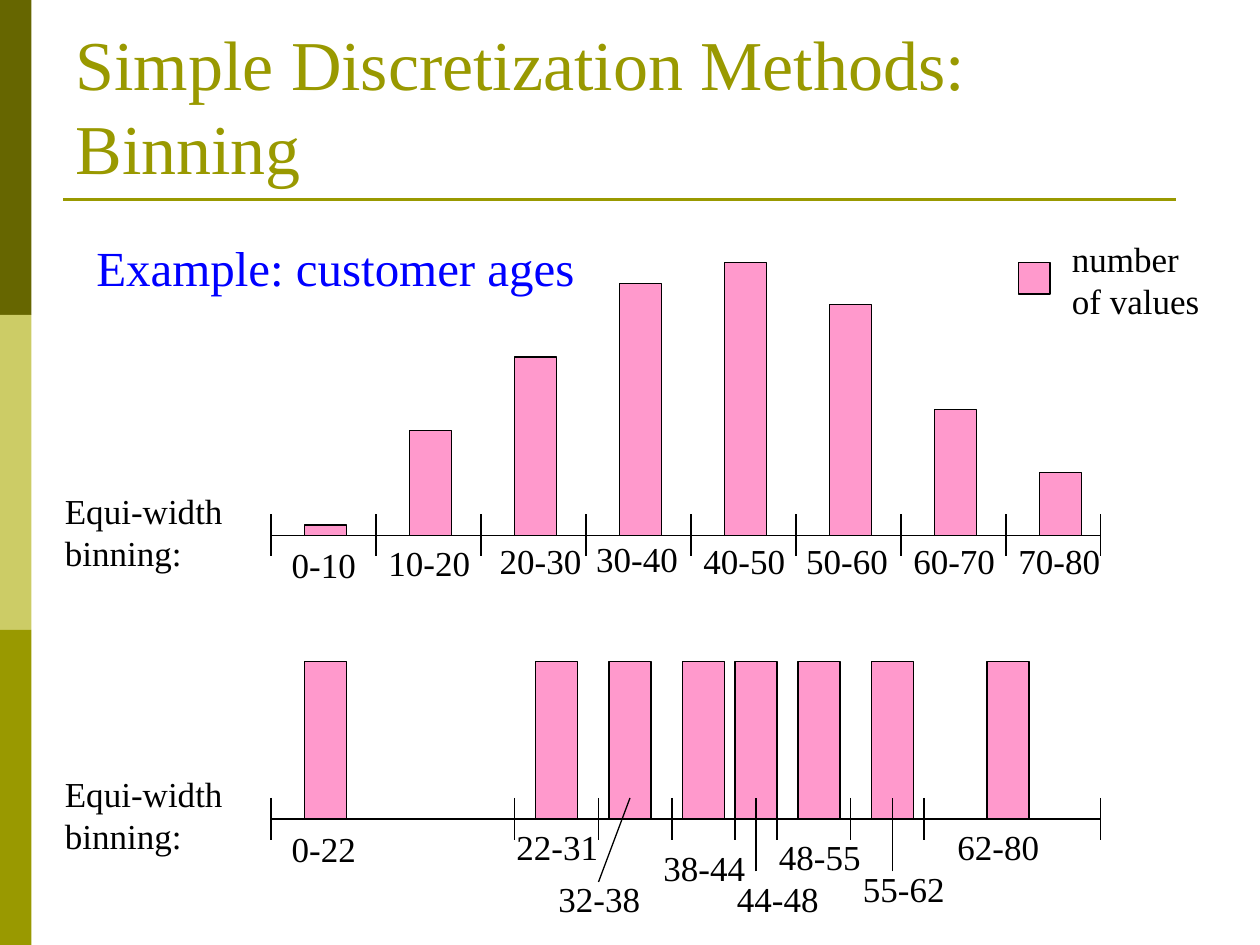
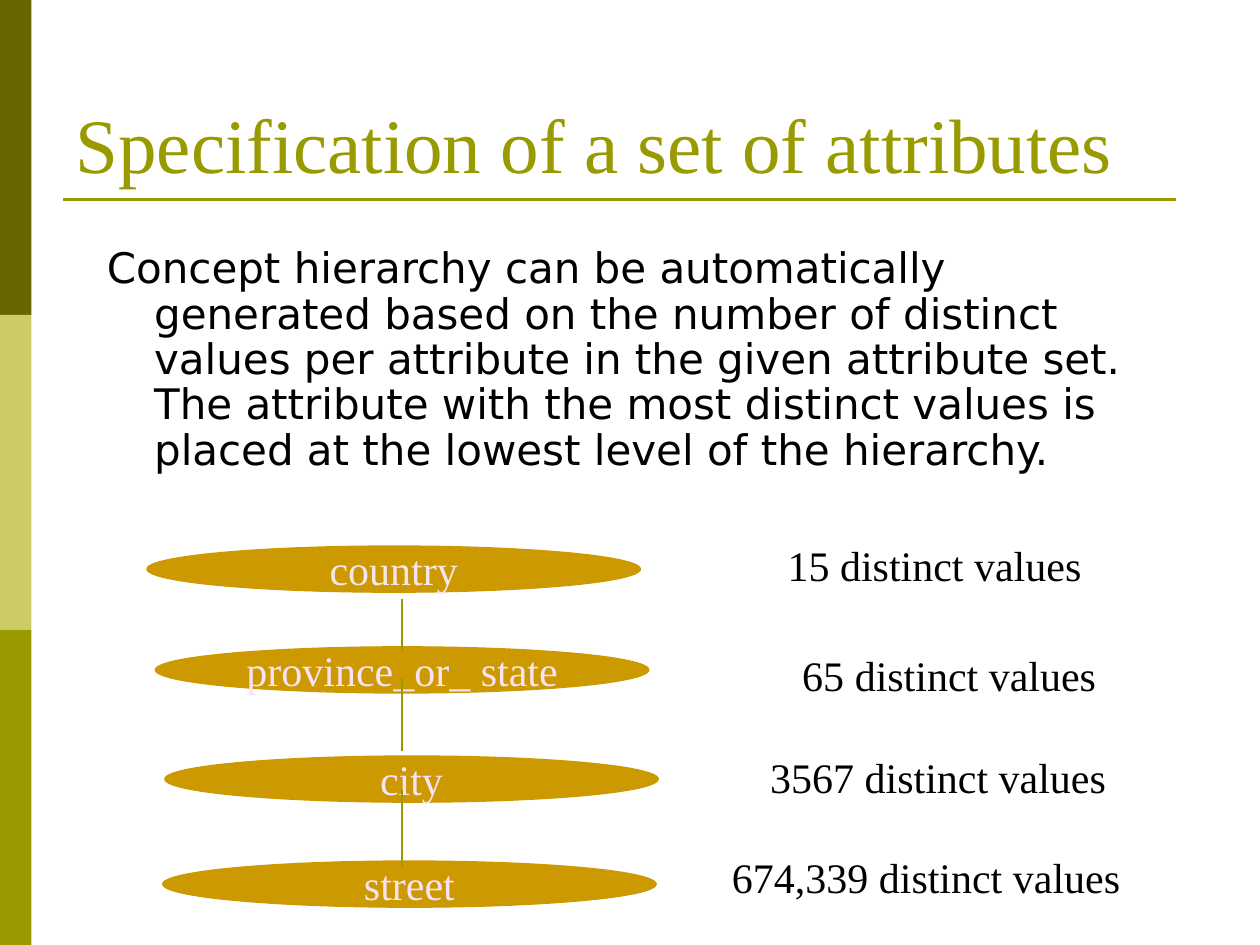
from lxml.etree import SubElement
from pptx import Presentation
from pptx.dml.color import RGBColor as Rgb
from pptx.enum.shapes import MSO_CONNECTOR as Conn, MSO_SHAPE as Kind
from pptx.enum.text import MSO_ANCHOR as Anchor, MSO_AUTO_SIZE as Fit, PP_ALIGN as Align
from pptx.oxml.ns import qn
from pptx.util import Emu, Pt

SCALE = 7620
WIDE, HIGH = 1200, 900
SERIF, SANS = "Times New Roman", "DejaVu Sans"
BLACK = Rgb(0x00, 0x00, 0x00)
BLUE = Rgb(0x00, 0x00, 0xFF)
DARK = Rgb(0x66, 0x66, 0x00)
PALE = Rgb(0xCC, 0xCC, 0x66)
OLIVE = Rgb(0x99, 0x99, 0x00)
PINK = Rgb(0xFF, 0x99, 0xCC)
GOLD = Rgb(0xCC, 0x99, 0x00)
ROSE = Rgb(0xF6, 0xE6, 0xEA)
LILAC = Rgb(0xFA, 0xE2, 0xF6)
TITLE = (60, 36, 1080, 150)


def emu(nums):
    """Turn px lengths into EMU."""
    return [Emu(n * SCALE) for n in nums]


def put(item, **vals):
    """Set several attributes of one object."""
    for name, val in vals.items():
        setattr(item, name, val)


def style(shape, text, size, color, face=SERIF, align=Align.LEFT, **vals):
    """Fill a shape with text in one format."""
    frame = shape.text_frame
    frame.text = text
    put(frame, **{"word_wrap": False, "auto_size": Fit.NONE, **vals})
    for para in frame.paragraphs:
        para.alignment = align
        put(para.font, name=face, size=Pt(size))
        para.font.color.rgb = color


def write(shapes, box, text, size=20, color=BLACK, **vals):
    """Add a text box."""
    note = shapes.add_textbox(*emu(box))
    style(note, text, size, color, **vals)
    return note


def draw(shapes, kind, box, fill, edge=None):
    """Add a flat shape with an optional outline."""
    shape = shapes.add_shape(kind, *emu(box))
    shape.shadow.inherit = False
    shape.fill.solid()
    shape.fill.fore_color.rgb = fill
    if edge is None:
        shape.line.fill.background()
    else:
        shape.line.color.rgb = edge
        shape.line.width = Pt(0.75)
    return shape


def rule(shapes, ends, color=BLACK, width=0.75):
    """Add a straight line without a shadow."""
    line = shapes.add_connector(Conn.STRAIGHT, *emu(ends))
    line.line.color.rgb = color
    line.line.width = Pt(width)
    SubElement(line.element.spPr, qn("a:effectLst"))
    return line


def dress(slide):
    """Draw the side bands and title rule, then move them to the layout."""
    band = HIGH // 3
    parts = [draw(slide.shapes, Kind.RECTANGLE, (0, i * band, 30, band), fill)
             for i, fill in enumerate((DARK, PALE, OLIVE))]
    parts.append(rule(slide.shapes, (60, 190, 1120, 190), OLIVE, 1.5))
    for i, part in enumerate(parts):
        slide.slide_layout.shapes.element.insert(2 + i, part.element)


def head(slide, text, size):
    """Place and format the title."""
    title = slide.shapes.title
    put(title, **dict(zip(("left", "top", "width", "height"), emu(TITLE))))
    style(title, text, size, OLIVE, word_wrap=True, vertical_anchor=Anchor.BOTTOM)


def key(shapes, box):
    """Draw the legend."""
    x, y, w, h = box
    draw(shapes, Kind.RECTANGLE, (x, y + 30, 30, 30), PINK, BLACK)
    write(shapes, (x + 39, y, w - 39, h), "number\vof values")


def bins(shapes, box, ticks, bars, names, leads=()):
    """Draw one binned axis with its bars, given as offsets from the axis start."""
    x, y, w, h = box
    left, base = x + 208, y + h - 20
    rule(shapes, (left, base, x + w, base))
    for tick in ticks:
        rule(shapes, (left + tick, base - 20, left + tick, base + 20))
    for start, tall in bars:
        draw(shapes, Kind.RECTANGLE, (left + start, base - tall, 40, tall), PINK, BLACK)
    for x1, y1, x2 in leads:
        rule(shapes, (left + x1, base + y1, left + x2, base - 20))
    for text, dx, dy in names:
        wide = 102 if len(text) > 4 else 85
        write(shapes, (left + dx, base + dy, wide, 52), text)
    write(shapes, (x, base - 50, 200, 92), "Equi-width binning:", word_wrap=True)


def ages(slide):
    """Build the binning slide."""
    head(slide, "Simple Discretization Methods: Binning", 40)
    shapes = slide.shapes
    write(shapes, (80, 220, 480, 68), "Example: customer ages", 28, BLUE)
    key(shapes, (970, 220, 184, 92))
    talls = (10, 100, 170, 240, 260, 220, 120, 60)
    spots = ((8, 2), (100, 0), (206, -2), (298, -4),
             (400, -2), (498, -2), (600, -2), (700, -2))
    bins(shapes, (50, 250, 998, 280),
         [*range(0, 800, 100), 790],
         [(32 + 100 * i, tall) for i, tall in enumerate(talls)],
         [(f"{10 * i}-{10 * i + 10}", *spot) for i, spot in enumerate(spots)])
    bins(shapes.add_group_shape().shapes, (50, 630, 998, 170),
         (0, 232, 312, 382, 442, 482, 552, 622, 790),
         [(start, 150) for start in (32, 252, 322, 392, 442, 502, 572, 682)],
         (("0-22", 8, 2), ("22-31", 222, 0), ("32-38", 262, 50), ("38-44", 362, 20),
          ("44-48", 432, 50), ("48-55", 472, 10), ("55-62", 552, 40), ("62-80", 642, 0)),
         ((462, 50, 462), (312, 60, 342), (592, 50, 592)))


def levels(shapes, box):
    """Draw the chain of attributes with their value counts."""
    x, y, w, h = box
    rows = (("country", 0, 12, ROSE, "15", 598, 0, 304),
            ("province_or_ state", 8, 108, LILAC, "65", 612, 105, 304),
            ("city", 17, 212, LILAC, "3567", 582, 202, 343),
            ("street", 15, 312, LILAC, "674,339", 545, 297, 394))
    for name, dx, dy, color, count, cx, cy, wide in rows:
        oval = draw(shapes, Kind.OVAL, (x + dx, y + dy, 470, 44), GOLD, GOLD)
        style(oval, name, 24, color, align=Align.CENTER, vertical_anchor=Anchor.MIDDLE)
        write(shapes, (x + cx, y + cy, wide, 60), f"{count} distinct values", 24,
              align=Align.CENTER)
    for top, end in ((62, 112), (138, 207), (244, 318)):
        rule(shapes, (x + 243, y + top, x + 243, y + end), OLIVE)


def ranks(slide):
    """Build the concept hierarchy slide."""
    head(slide, "Specification of a set of attributes", 44)
    body = write(slide.shapes, (90, 230, 1030, 250),
                 "Concept hierarchy can be automatically generated based on the number of "
                 "distinct values per attribute in the given attribute set. The attribute "
                 "with the most distinct values is placed at the lowest level of the "
                 "hierarchy.", 24, face=SANS, word_wrap=True)
    put(body.text_frame.paragraphs[0], line_spacing=0.9, space_before=Pt(6))
    for props in body.element.iter(qn("a:pPr")):
        props.set("marL", str(45 * SCALE))
        props.set("indent", str(-45 * SCALE))
    levels(slide.shapes, (140, 508, 939, 357))


def main():
    """Build and save the deck."""
    deck = Presentation()
    deck.slide_width, deck.slide_height = emu((WIDE, HIGH))
    layout = deck.slide_layouts[5]
    first, second = [deck.slides.add_slide(layout) for _ in range(2)]
    dress(first)
    ages(first)
    ranks(second)
    deck.save("out.pptx")


if __name__ == "__main__":
    main()
